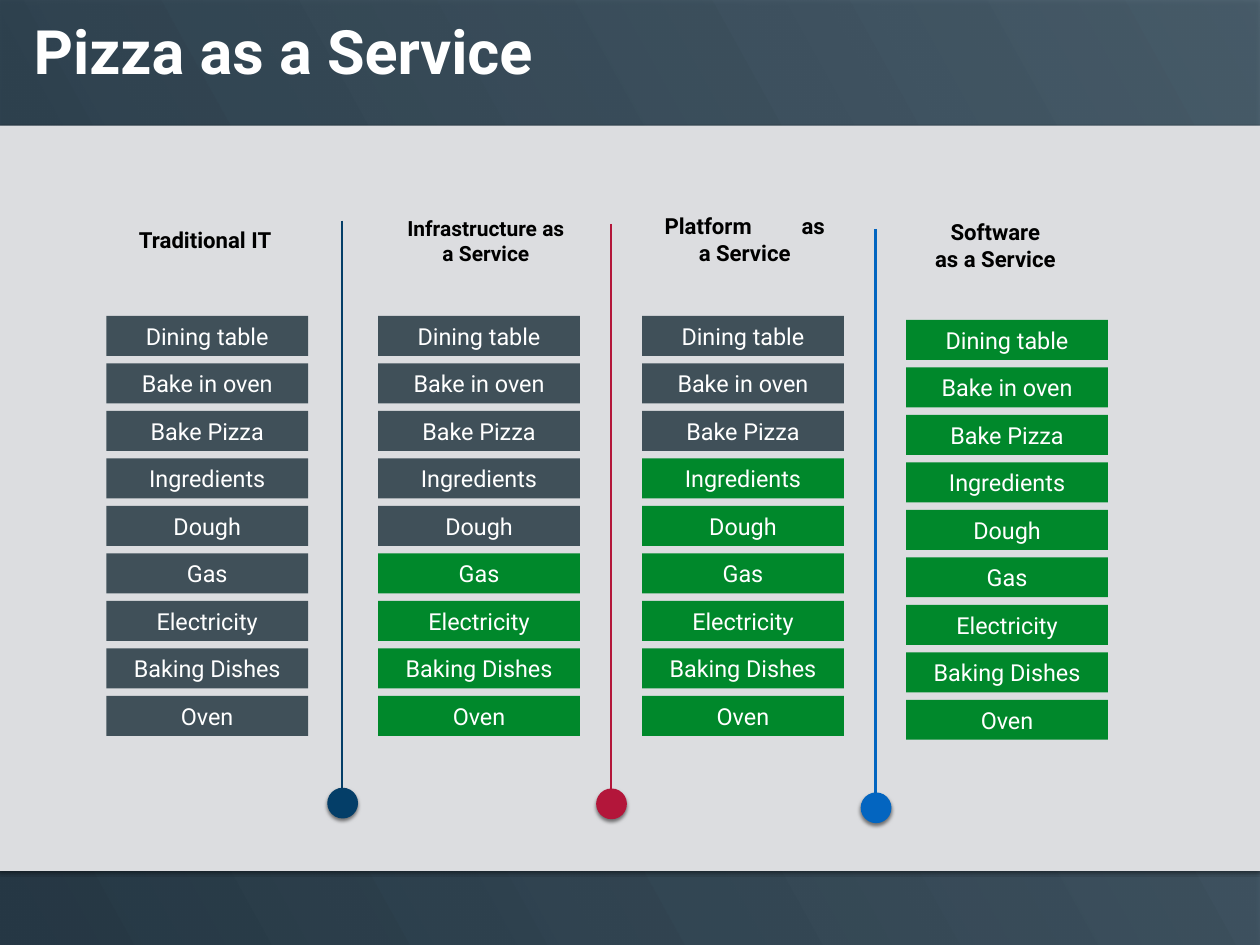
from lxml import etree
from pptx import Presentation
from pptx.dml.color import RGBColor
from pptx.enum.shapes import MSO_CONNECTOR, MSO_SHAPE
from pptx.enum.text import MSO_ANCHOR, PP_ALIGN
from pptx.oxml.ns import qn
from pptx.util import Pt

RECTANGLE, OVAL = MSO_SHAPE.RECTANGLE, MSO_SHAPE.OVAL
STRAIGHT = MSO_CONNECTOR.STRAIGHT
TOP, MIDDLE = MSO_ANCHOR.TOP, MSO_ANCHOR.MIDDLE
LEFT, CENTER = PP_ALIGN.LEFT, PP_ALIGN.CENTER

WHITE, BLACK, PANEL = "FFFFFF", "000000", "DCDDE0"
SELF_MADE, DELIVERED = "405059", "00882B"
NIGHT, SLATE = "263845", "374F5F"

STEPS = ["Dining table", "Bake in oven", "Bake Pizza", "Ingredients", "Dough",
         "Gas", "Electricity", "Baking Dishes", "Oven"]
STEP_PITCH, STEP_WIDTH, STEP_HEIGHT = 38.6, 164, 32.5
DIVIDER_LENGTH, DOT = 469.5, 25
HEADING_WIDTH, HEADING_HEIGHT = 140.4, 51.8

MODELS = [
    {"heading": ["Traditional IT"], "size": 18, "at": (96.5, 168.5),
     "steps_at": (86.4, 256.8), "self_made": 9},
    {"heading": ["Infrastructure as a Service"], "size": 17, "at": (324.7, 170),
     "steps_at": (307.3, 256.8), "self_made": 5},
    {"heading": ["Platform", " ", "as a Service"], "size": 18, "at": (535, 168.5),
     "steps_at": (521.8, 256.8), "self_made": 3},
    {"heading": ["Software", " ", "as a Service"], "size": 18, "at": (738.7, 173.5),
     "steps_at": (736.4, 259.9), "self_made": 0},
]
DIVIDERS = [(278, 179.3, 640.2, "043E68"), (496.5, 182, 640.8, "B3163A"),
            (711.5, 186, 644, "0365C0")]


def rgb(color):
    return RGBColor.from_string(color)


class Slide:
    font = "Roboto"

    def __init__(self, slide):
        self.shapes = slide.shapes

    def shape(self, kind, left, top, width, height, color, shadow=False):
        item = self.shapes.add_shape(kind, Pt(left), Pt(top), Pt(width), Pt(height))
        item.fill.solid()
        item.fill.fore_color.rgb = rgb(color)
        item.line.fill.background()
        item.shadow.inherit = False
        if shadow:
            self.cast_shadow(item)
        return item

    def cast_shadow(self, item):
        effects = item._element.spPr.find(qn("a:effectLst"))
        outer = etree.SubElement(effects, qn("a:outerShdw"), blurRad=str(Pt(3)),
                                 dist=str(Pt(2)), dir="5400000", rotWithShape="0")
        tint = etree.SubElement(outer, qn("a:srgbClr"), val=BLACK)
        etree.SubElement(tint, qn("a:alpha"), val="50000")

    def backdrop(self, left, top, width, height):
        item = self.shape(RECTANGLE, left, top, width, height, NIGHT, shadow=True)
        item.fill.gradient()
        item.fill.gradient_angle = 29
        for stop, position, color in zip(item.fill.gradient_stops, (0, 1), (NIGHT, SLATE)):
            stop.position = position
            stop.color.rgb = rgb(color)
        tints = item._element.spPr.findall(".//" + qn("a:srgbClr"))
        slate = next(tint for tint in tints if tint.get("val") == SLATE)
        etree.SubElement(slate, qn("a:alpha"), val="83000")

    def fill_text(self, item, pieces, size, color, bold=False, align=CENTER,
                  anchor=MIDDLE, inset=0, spacing=None):
        frame = item.text_frame
        layout = {"word_wrap": True, "vertical_anchor": anchor}
        for side in ("left", "top", "right", "bottom"):
            layout[f"margin_{side}"] = Pt(inset)
        for name, value in layout.items():
            setattr(frame, name, value)
        paragraph = frame.paragraphs[0]
        for name, value in {"alignment": align, "line_spacing": spacing}.items():
            setattr(paragraph, name, value)
        style = {"name": self.font, "size": Pt(size), "bold": bold}
        for piece in pieces:
            run = paragraph.add_run()
            run.text = piece
            for name, value in style.items():
                setattr(run.font, name, value)
            run.font.color.rgb = rgb(color)
            if piece == " ":
                run._r.get_or_add_rPr().set("spc", "3600")

    def text(self, left, top, width, height, pieces, size, color, **options):
        box = self.shapes.add_textbox(Pt(left), Pt(top), Pt(width), Pt(height))
        self.fill_text(box, pieces, size, color, bold=True, **options)

    def bar(self, left, top, label, color):
        item = self.shape(RECTANGLE, left, top, STEP_WIDTH, STEP_HEIGHT, color)
        self.fill_text(item, [label], 19, WHITE)

    def divider(self, x, top, dot_top, color):
        rule = self.shapes.add_connector(STRAIGHT, Pt(x), Pt(top),
                                         Pt(x), Pt(top + DIVIDER_LENGTH))
        rule.line.color.rgb = rgb(color)
        rule.line.width = Pt(2)
        etree.SubElement(rule._element.spPr, qn("a:effectLst"))
        self.shape(OVAL, x - DOT / 2 + 0.5, dot_top, DOT, DOT, color, shadow=True)


def main():
    deck = Presentation()
    deck.slide_width, deck.slide_height = Pt(1024), Pt(768)
    page = Slide(deck.slides.add_slide(deck.slide_layouts[6]))

    page.backdrop(-1.5, -1.5, 1027, 771)
    page.shape(RECTANGLE, -1.5, 102.2, 1027, 605.5, PANEL, shadow=True)
    page.text(27.4, 17.3, 926, 57, ["Pizza as a Service"], 49.7, WHITE,
              align=LEFT, anchor=TOP, spacing=0.9)

    for divider in DIVIDERS:
        page.divider(*divider)

    for model in MODELS:
        page.text(*model["at"], HEADING_WIDTH, HEADING_HEIGHT, model["heading"],
                  model["size"], BLACK, inset=4.3)
        left, top = model["steps_at"]
        for row, step in enumerate(STEPS):
            color = SELF_MADE if row < model["self_made"] else DELIVERED
            page.bar(left, top + row * STEP_PITCH, step, color)

    deck.save("out.pptx")


if __name__ == "__main__":
    main()
